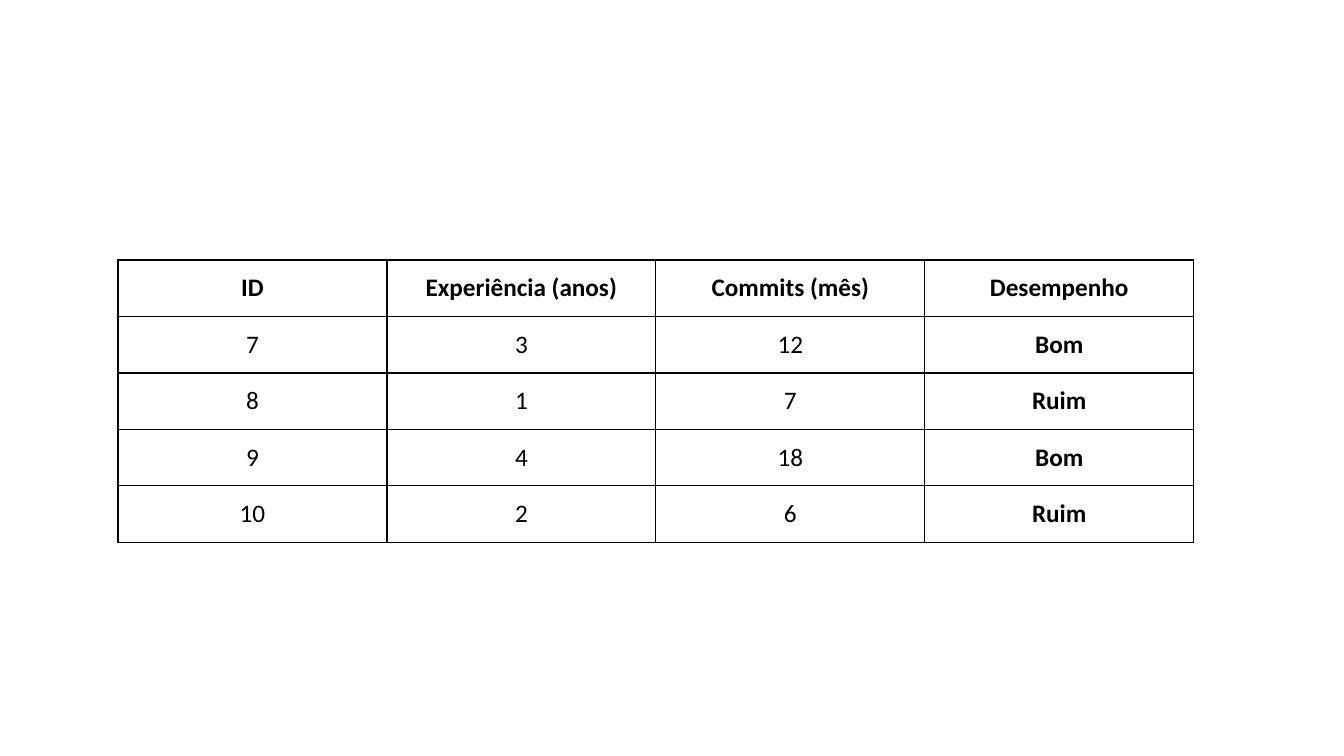
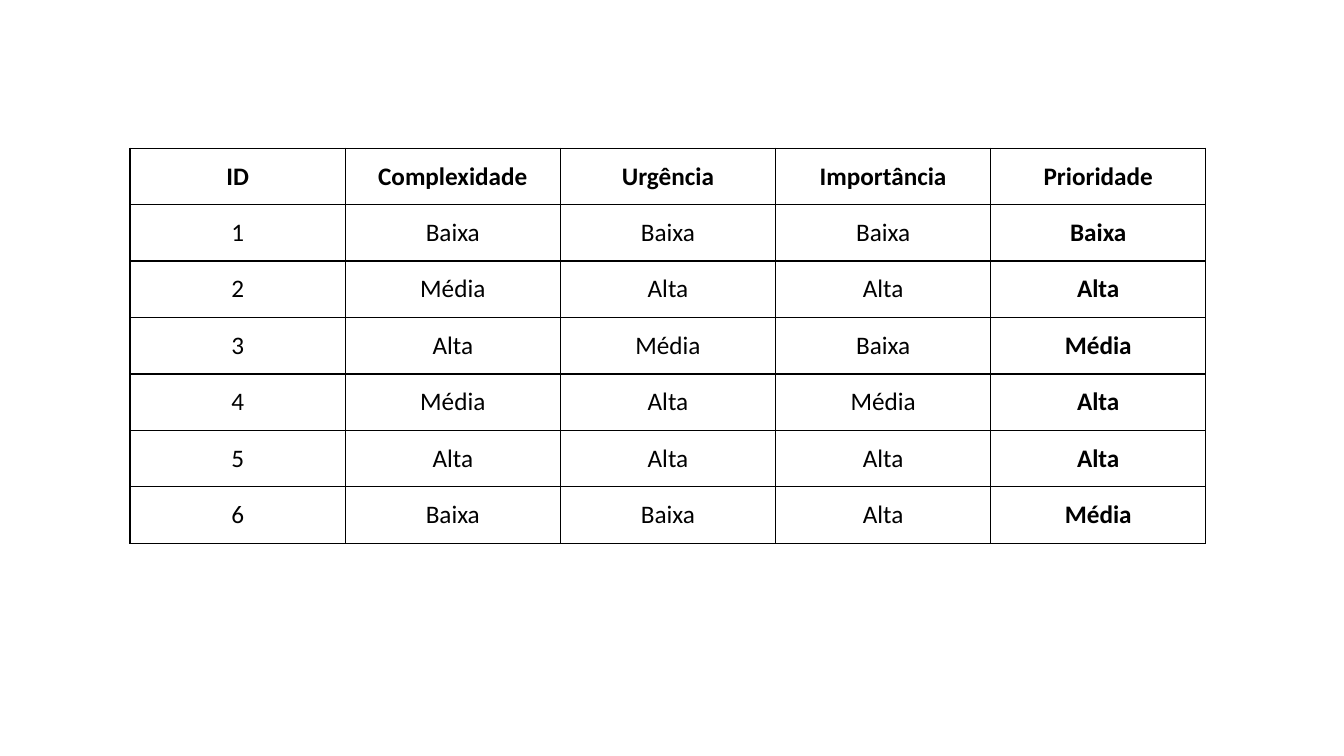
from dataclasses import dataclass

from lxml import etree
from pptx import Presentation
from pptx.dml.color import RGBColor
from pptx.enum.text import MSO_ANCHOR, PP_ALIGN
from pptx.oxml.ns import qn
from pptx.util import Inches, Pt

MIDDLE = MSO_ANCHOR.MIDDLE
CENTER = PP_ALIGN.CENTER

# Content: left and top in inches, then rows with the header first
TABLES = [
    {
        "left": 1.17,
        "top": 2.58,
        "rows": [
            ("ID", "Experiência (anos)", "Commits (mês)", "Desempenho"),
            ("7", "3", "12", "Bom"),
            ("8", "1", "7", "Ruim"),
            ("9", "4", "18", "Bom"),
            ("10", "2", "6", "Ruim"),
        ],
    },
    {
        "left": 1.29,
        "top": 1.47,
        "rows": [
            ("ID", "Complexidade", "Urgência", "Importância", "Prioridade"),
            ("1", "Baixa", "Baixa", "Baixa", "Baixa"),
            ("2", "Média", "Alta", "Alta", "Alta"),
            ("3", "Alta", "Média", "Baixa", "Média"),
            ("4", "Média", "Alta", "Média", "Alta"),
            ("5", "Alta", "Alta", "Alta", "Alta"),
            ("6", "Baixa", "Baixa", "Alta", "Média"),
        ],
    },
]


@dataclass(frozen=True)
class Theme:
    font: str = "Calibri"
    size: int = 18
    ink: str = "000000"
    paper: str = "FFFFFF"
    rule: int = 1
    width: float = 10.67
    row: float = 0.56


THEME = Theme()


# Black rule on all four sides of a cell
def frame(cell):
    props = cell._tc.get_or_add_tcPr()
    for side in ("lnL", "lnR", "lnT", "lnB"):
        line = etree.SubElement(props, qn(f"a:{side}"), w=str(Pt(THEME.rule)))
        fill = etree.SubElement(line, qn("a:solidFill"))
        etree.SubElement(fill, qn("a:srgbClr"), val=THEME.ink)


def style(cell, text, bold):
    frame(cell)
    cell.fill.solid()
    cell.fill.fore_color.rgb = RGBColor.from_string(THEME.paper)
    cell.vertical_anchor = MIDDLE
    cell.text_frame.text = text
    para = cell.text_frame.paragraphs[0]
    para.alignment = CENTER
    font = para.runs[0].font
    font.name = THEME.font
    font.size = Pt(THEME.size)
    font.bold = bold
    font.color.rgb = RGBColor.from_string(THEME.ink)


# Equal columns and rows; header row and last column are bold
def draw(slide, left, top, rows):
    count = len(rows[0])
    table = slide.shapes.add_table(
        len(rows), count, Inches(left), Inches(top),
        Inches(THEME.width), Inches(THEME.row * len(rows)),
    ).table
    for r, row in enumerate(rows):
        for c, text in enumerate(row):
            style(table.cell(r, c), text, r == 0 or c == count - 1)


def main():
    deck = Presentation()
    deck.slide_width, deck.slide_height = Inches(13.33), Inches(7.5)
    blank = deck.slide_layouts[6]
    for data in TABLES:
        draw(deck.slides.add_slide(blank), **data)
    deck.save("out.pptx")


if __name__ == "__main__":
    main()
